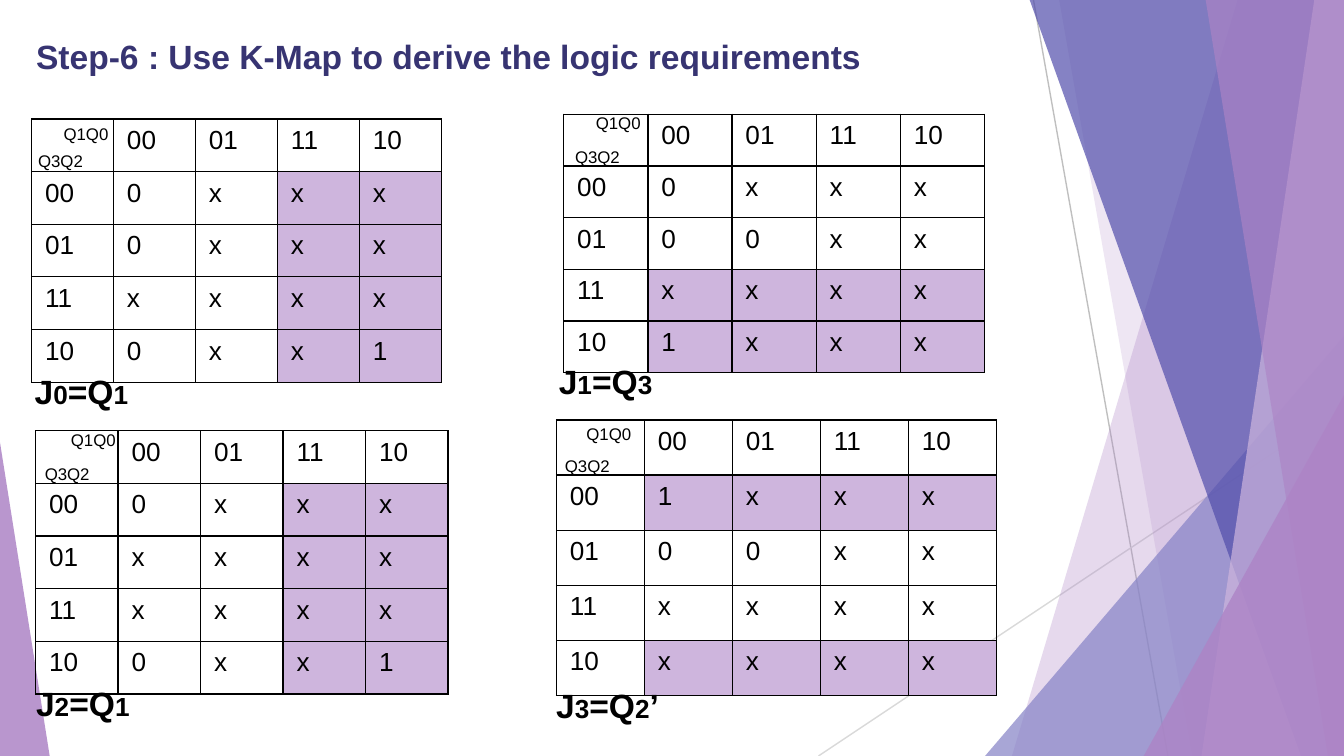
"""Builds the K-map slide: four maps, their equations and a faceted backdrop."""
import pptx
import pptx.util
import pptx.dml.color
import pptx.enum.shapes
import pptx.enum.text
import pptx.oxml.ns
from lxml import etree

PX = 4572
WIDTH, HEIGHT = 2000, 1125
COLORS = {
    "title": "373472", "text": "000000", "shade": "CEB5DD",
    "orchid": "AD84C6", "lilac": "CEB5DD", "periwinkle": "8784C7",
    "indigo": "524EAB", "gray": "BFBFBF", "light_gray": "D9D9D9",
}
qn = pptx.oxml.ns.qn
rgb = pptx.dml.color.RGBColor.from_string
presets = pptx.enum.shapes.MSO_SHAPE

deck = pptx.Presentation()
deck.slide_width, deck.slide_height = WIDTH * PX, HEIGHT * PX
slide = deck.slides.add_slide(deck.slide_layouts[6])
shapes = slide.shapes


def paint(facet, color, opacity):
    facet.shadow.inherit = False
    facet.fill.solid()
    facet.fill.fore_color.rgb = rgb(COLORS[color])
    facet.line.fill.background()
    tint = facet._element.spPr.find(qn("a:solidFill"))[0]
    etree.SubElement(tint, qn("a:alpha"), val=str(opacity * 1000))


def write(left, top, width, height, runs, color="text", bold=True):
    box = shapes.add_textbox(left * PX, top * PX, width * PX, height * PX)
    box.text_frame.word_wrap = True
    for words, size in runs:
        run = box.text_frame.paragraphs[0].add_run()
        run.text = words
        run.font.name = "Arial"
        run.font.size = pptx.util.Pt(size)
        run.font.bold = bold
        run.font.color.rgb = rgb(COLORS[color])
    return box.text_frame


for x1, y1, x2, y2, color in [(1538, 0, 1738, HEIGHT, "gray"),
                              (WIDTH, 604, 1218, HEIGHT, "light_gray")]:
    ray = shapes.add_connector(pptx.enum.shapes.MSO_CONNECTOR.STRAIGHT,
                               x1 * PX, y1 * PX, x2 * PX, y2 * PX)
    ray.line.color.rgb = rgb(COLORS[color])
    ray.line.width = pptx.util.Pt(0.75)
    etree.SubElement(ray._element.spPr, qn("a:effectLst"))

BANDS = [(1842, 1506, "orchid", 30), (1576, 1774, "orchid", 20),
         (1532, 1936, "indigo", 70), (1956, 1788, "lilac", 70),
         (1794, 1976, "orchid", 65)]
WEDGES = [(1466, 500, 534, 625, 1, "periwinkle", 72),
          (1702, 588, 298, 537, 1, "orchid", 80),
          (0, 658, 74, 467, 0, "orchid", 85)]
FACETS = BANDS[:2] + WEDGES[:1] + BANDS[2:] + WEDGES[1:]
for *outline, color, opacity in FACETS:
    if len(outline) == 2:
        top_x, bottom_x = outline
        builder = shapes.build_freeform(top_x, -1, scale=PX)
        builder.add_line_segments([(WIDTH, -1), (WIDTH, HEIGHT),
                                   (bottom_x, HEIGHT)])
        facet = builder.convert_to_shape()
    else:
        *frame, apex = outline
        facet = shapes.add_shape(presets.ISOSCELES_TRIANGLE,
                                 *[length * PX for length in frame])
        facet.adjustments[0] = apex
    paint(facet, color, opacity)

CODES = ["00", "01", "11", "10"]
ALL = range(1, 5)
MAPS = [
    {"frame": (47, 177, 610, 392), "values": ["0xxx", "0xxx", "xxxx", "0xx1"],
     "rows": ALL, "cols": (3, 4), "equation": ("0", "1", ""), "at": (32, 532),
     "Q3Q2": (34, 214, 112), "Q1Q0": (72, 174, 112)},
    {"frame": (839, 170, 626, 385), "values": ["0xxx", "00xx", "xxxx", "1xxx"],
     "rows": (3, 4), "cols": ALL, "equation": ("1", "3", ""), "at": (812, 517),
     "Q3Q2": (827, 208, 124), "Q1Q0": (864, 158, 112)},
    {"frame": (53, 641, 614, 392), "values": ["0xxx", "xxxx", "xxxx", "0xx1"],
     "rows": ALL, "cols": (3, 4), "equation": ("2", "1", ""), "at": (34, 997),
     "Q3Q2": (44, 680, 112), "Q1Q0": (83, 630, 112)},
    {"frame": (828, 625, 655, 410), "values": ["1xxx", "00xx", "xxxx", "xxxx"],
     "rows": (1, 4), "cols": ALL, "equation": ("3", "2", "’"), "at": (808, 1000),
     "Q3Q2": (812, 668, 124), "Q1Q0": (850, 620, 112)},
]

for kmap in MAPS:
    left, top, width, height = [length * PX for length in kmap["frame"]]
    grid = shapes.add_table(5, 5, left, top, width, height).table
    grid.first_row = grid.horz_banding = False
    for column in grid.columns:
        column.width = width // 5
    for row in grid.rows:
        row.height = height // 5
    entries = [["", *CODES]]
    entries += [[code, *line] for code, line in zip(CODES, kmap["values"])]
    for r, line in enumerate(entries):
        for c, entry in enumerate(line):
            cell = grid.cell(r, c)
            borders = cell._tc.get_or_add_tcPr()
            for side in ("lnL", "lnR", "lnT", "lnB"):
                border = etree.SubElement(borders, qn("a:" + side), w="9525")
                ink = etree.SubElement(border, qn("a:solidFill"))
                etree.SubElement(ink, qn("a:srgbClr"), val=COLORS["text"])
            if r in kmap["rows"] and c in kmap["cols"]:
                cell.fill.solid()
                cell.fill.fore_color.rgb = rgb(COLORS["shade"])
            else:
                cell.fill.background()
            if entry:
                run = cell.text_frame.paragraphs[0].add_run()
                run.text = entry
                run.font.name = "Arial"
                run.font.size = pptx.util.Pt(14)
                run.font.color.rgb = rgb(COLORS["text"])
            else:
                cell.margin_top = cell.margin_bottom = 0

for kmap in MAPS:
    output, source, prime = kmap["equation"]
    runs = [("J", 18), (output, 14), ("=Q", 18), (source, 14), (prime, 18)]
    equation = write(*kmap["at"], 534, 108, [run for run in runs if run[0]])
    equation.margin_top = equation.margin_bottom = 20 * PX
    equation.margin_left = equation.margin_right = 20 * PX
    equation.paragraphs[0].space_before = pptx.util.Pt(6)

for kmap in MAPS:
    for variables in ("Q3Q2", "Q1Q0"):
        label = write(*kmap[variables], 50, [(variables, 9)], bold=False)
        label.auto_size = pptx.enum.text.MSO_AUTO_SIZE.SHAPE_TO_FIT_TEXT
        label.paragraphs[0].alignment = pptx.enum.text.PP_ALIGN.CENTER

heading = "Step-6 : Use K-Map to derive the logic requirements"
title = write(34, 44, 1296, 80, [(heading, 18)], "title")
title.word_wrap = False
title.auto_size = pptx.enum.text.MSO_AUTO_SIZE.SHAPE_TO_FIT_TEXT

deck.save("out.pptx")
